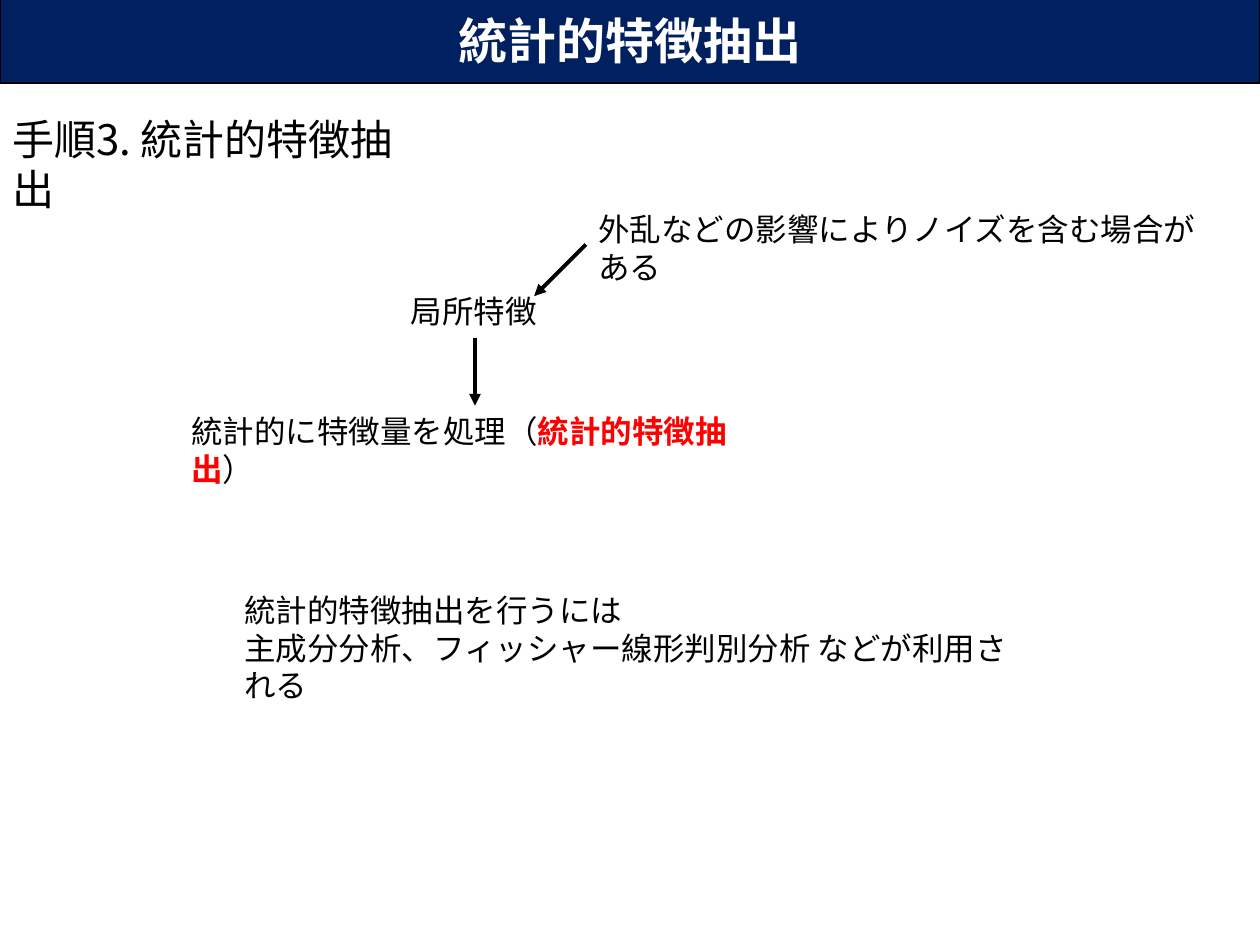
from lxml import etree
from pptx import Presentation
from pptx.dml.color import RGBColor
from pptx.enum.shapes import MSO_CONNECTOR
from pptx.enum.text import MSO_ANCHOR, MSO_AUTO_SIZE, PP_ALIGN
from pptx.oxml.ns import qn
from pptx.util import Inches, Pt

STRAIGHT = MSO_CONNECTOR.STRAIGHT
MIDDLE = MSO_ANCHOR.MIDDLE
CENTER = PP_ALIGN.CENTER
FIT_SHAPE, NO_FIT = MSO_AUTO_SIZE.SHAPE_TO_FIT_TEXT, MSO_AUTO_SIZE.NONE

FONT = "Noto Sans CJK JP"
COLORS = {
    "navy": RGBColor.from_string("002060"),
    "black": RGBColor.from_string("000000"),
    "white": RGBColor.from_string("FFFFFF"),
    "red": RGBColor.from_string("FF0000"),
}


def style_font(font, size, color, bold=False):
    """Set size, colour and weight, and the typeface for Latin and East Asian text."""
    font.size, font.bold, font.name = Pt(size), bold, FONT
    font.color.rgb = COLORS[color]
    east_asian = etree.SubElement(font._element, qn("a:ea"))
    east_asian.set("typeface", FONT)


presentation = Presentation()
presentation.slide_width, presentation.slide_height = Inches(10), Inches(7.5)
slide = presentation.slides.add_slide(presentation.slide_layouts[5])

# Title band
title = slide.shapes.title
title.left, title.top = 0, Inches(-0.02)
title.width, title.height = presentation.slide_width, Inches(0.68)
title.fill.solid()
title.fill.fore_color.rgb = COLORS["navy"]
title.line.color.rgb = COLORS["black"]
title.line.width = Pt(1)
title.text_frame.text = "統計的特徴抽出"
title.text_frame.auto_size = NO_FIT
title.text_frame.vertical_anchor = MIDDLE
heading = title.text_frame.paragraphs[0]
heading.alignment = CENTER
style_font(heading.font, 28, "white", bold=True)

# Text blocks: left, top, width, height, size, paragraphs of (text, emphasised) runs
text_blocks = [
    (0, 0.85, 3.54, 0.5, 24, [[("手順3. 統計的特徴抽出", False)]]),
    (3.16, 2.27, 1.21, 0.4, 18, [[("局所特徴", False)]]),
    (4.65, 1.62, 5.12, 0.4, 18,
     [[("外乱などの影響によりノイズを含む場合がある", False)]]),
    (1.42, 3.22, 4.7, 0.4, 18,
     [[("統計的に特徴量を処理（", False), ("統計的特徴抽出", True), ("）", False)]]),
    (1.84, 4.64, 6.32, 0.71, 18,
     [[("統計的特徴抽出を行うには", False)],
      [("主成分分析、フィッシャー線形判別分析 などが利用される", False)]]),
]
for left, top, width, height, size, lines in text_blocks:
    box = slide.shapes.add_textbox(*map(Inches, (left, top, width, height)))
    frame = box.text_frame
    frame.word_wrap = True
    frame.auto_size = FIT_SHAPE
    for index, runs in enumerate(lines):
        paragraph = frame.add_paragraph() if index else frame.paragraphs[0]
        style_font(paragraph.font, size, "black")
        for text, emphasised in runs:
            run = paragraph.add_run()
            run.text = text
            if emphasised:
                run.font.bold = True
                run.font.color.rgb = COLORS["red"]

# Arrows: noise to local features, local features to statistical processing
for ends in [(4.65, 1.94, 4.24, 2.35), (3.77, 2.68, 3.77, 3.22)]:
    arrow = slide.shapes.add_connector(STRAIGHT, *map(Inches, ends))
    arrow.line.color.rgb = COLORS["black"]
    arrow.line.width = Pt(2.25)
    etree.SubElement(arrow.line._get_or_add_ln(), qn("a:tailEnd")).set("type", "triangle")
    etree.SubElement(arrow._element.spPr, qn("a:effectLst"))

presentation.save("out.pptx")
